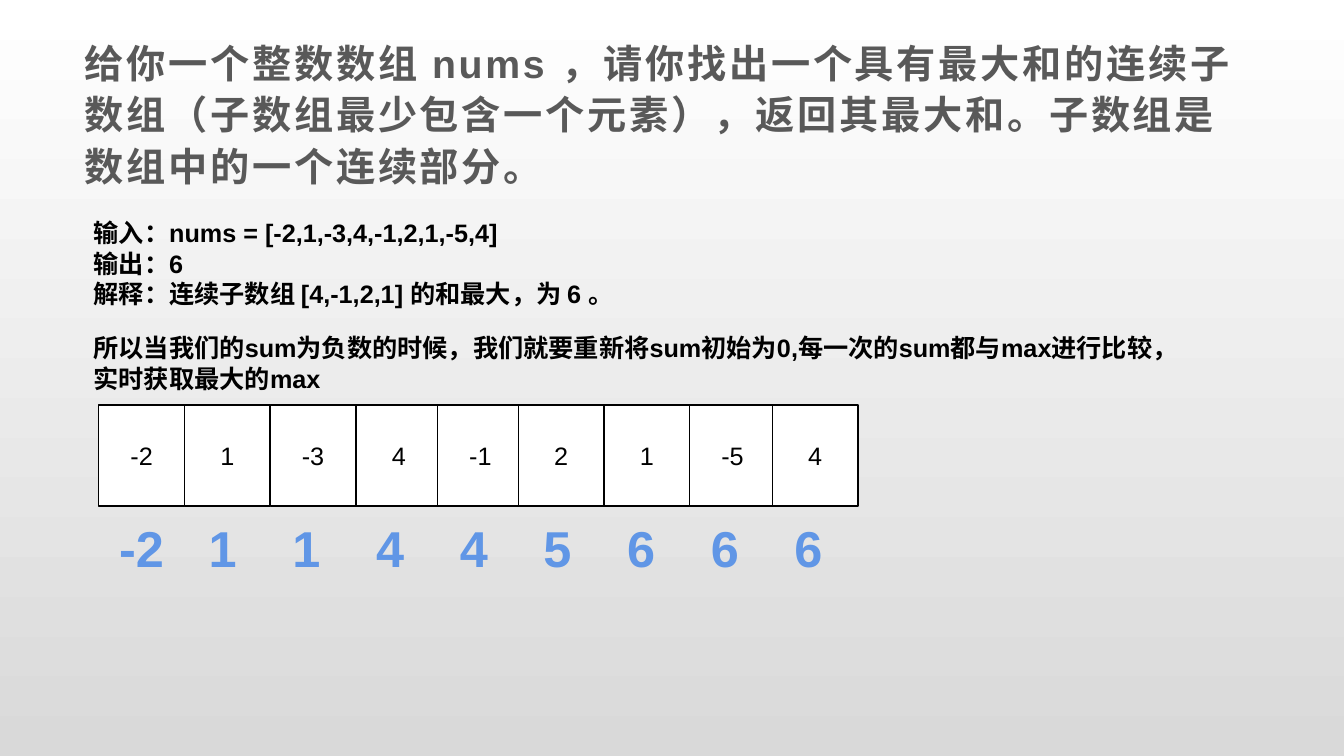
"""Build a slide that explains the maximum subarray sum."""
from dataclasses import dataclass

from lxml.etree import SubElement
from pptx import Presentation
from pptx.dml.color import RGBColor
from pptx.enum.lang import MSO_LANGUAGE_ID
from pptx.enum.shapes import MSO_SHAPE
from pptx.enum.text import MSO_ANCHOR, PP_ALIGN
from pptx.oxml.ns import qn
from pptx.util import Inches, Pt


@dataclass(frozen=True)
class Theme:
    font: str = "Arial"
    top: RGBColor = RGBColor(0xFF, 0xFF, 0xFF)
    bottom: RGBColor = RGBColor(0xD9, 0xD9, 0xD9)
    title: RGBColor = RGBColor(0x59, 0x59, 0x59)
    ink: RGBColor = RGBColor(0, 0, 0)
    cell: RGBColor = RGBColor(0xFF, 0xFF, 0xFF)
    accent: RGBColor = RGBColor(0x60, 0x96, 0xE6)
    title_size: int = 28
    body_size: int = 18
    result_size: int = 36


theme = Theme()


def add_span(para, text, size, color, bold=True):
    span = para.add_run()
    span.text = text
    span.font.name = theme.font
    span.font.size = Pt(size)
    span.font.bold = bold
    span.font.color.rgb = color
    span.font.language_id = MSO_LANGUAGE_ID.SIMPLIFIED_CHINESE
    return span


def add_text(page, place, lines, size, color):
    box = page.shapes.add_textbox(*(Inches(value) for value in place))
    frame = box.text_frame
    frame.word_wrap = True
    for index, line in enumerate(lines):
        para = frame.add_paragraph() if index else frame.paragraphs[0]
        add_span(para, line, size, color)
    return frame


deck = Presentation()
deck.slide_width = Inches(13.33)
deck.slide_height = Inches(7.5)
page = deck.slides.add_slide(deck.slide_layouts[6])

backdrop = page.background.fill
backdrop.gradient()
backdrop.gradient_angle = 270
for stop, color in zip(backdrop.gradient_stops, (theme.top, theme.bottom)):
    stop.color.rgb = color

title = add_text(
    page, (0.74, 0.29, 11.67, 2.23),
    ["给你一个整数数组 nums ，请你找出一个具有最大和的连续子数组"
     "（子数组最少包含一个元素），返回其最大和。子数组是数组中的一个连续部分。"],
    theme.title_size, theme.title)
title_para = title.paragraphs[0]
title_para.line_spacing = 1.1
title_para.space_after = Pt(10)
title_para.runs[0]._r.get_or_add_rPr().set("spc", "200")

add_text(
    page, (0.83, 2.11, 7.95, 1.27),
    ["输入：nums = [-2,1,-3,4,-1,2,1,-5,4]",
     "输出：6",
     "解释：连续子数组 [4,-1,2,1] 的和最大，为 6 。"],
    theme.body_size, theme.ink)

add_text(
    page, (0.83, 3.25, 11.03, 0.71),
    ["所以当我们的sum为负数的时候，我们就要重新将sum初始为0,"
     "每一次的sum都与max进行比较，实时获取最大的max"],
    theme.body_size, theme.ink)

numbers = (-2, 1, -3, 4, -1, 2, 1, -5, 4)
cell_lefts = (0.98, 1.83, 2.68, 3.53, 4.34, 5.14, 5.99, 6.84, 7.66)
for number, left in zip(numbers, cell_lefts):
    cell = page.shapes.add_shape(
        MSO_SHAPE.RECTANGLE, Inches(left), Inches(4.02), Inches(0.85), Inches(1))
    cell.shadow.inherit = False
    cell.fill.solid()
    cell.fill.fore_color.rgb = theme.cell
    cell.line.color.rgb = theme.ink
    cell.line.width = Pt(1)
    cell.text_frame.vertical_anchor = MSO_ANCHOR.MIDDLE
    para = cell.text_frame.paragraphs[0]
    para.alignment = PP_ALIGN.CENTER
    add_span(para, str(number), theme.body_size, theme.ink, bold=False)

first_maximum = add_text(
    page, (1.14, 5.08, 0.53, 0.99), ["-2"], theme.result_size, theme.accent)
first_maximum.margin_left = first_maximum.margin_right = Inches(0)
first_maximum.word_wrap = False
first_maximum.paragraphs[0].alignment = PP_ALIGN.CENTER

later_maxima = (1, 1, 4, 4, 5, 6, 6, 6)
maxima = add_text(
    page, (1.83, 5.08, 6.67, 0.71), ["\t".join(map(str, later_maxima))],
    theme.result_size, theme.accent)
maxima.margin_left = Inches(0.24)
tabs = SubElement(maxima.paragraphs[0]._p.get_or_add_pPr(), qn("a:tabLst"))
for step in range(1, len(later_maxima)):
    SubElement(tabs, qn("a:tab"), pos=str(Inches(step * 0.83)), algn="l")

deck.save("out.pptx")
